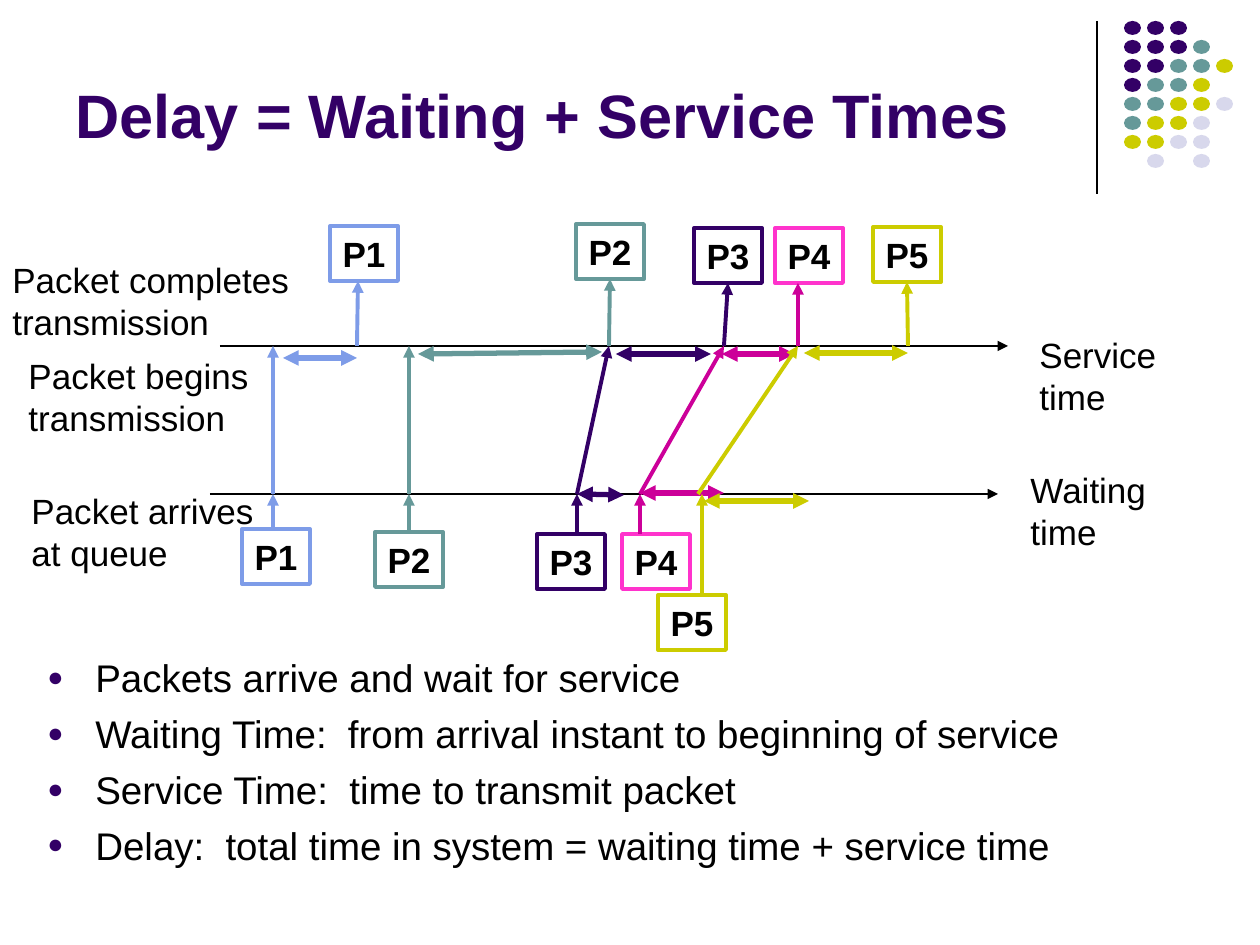
from dataclasses import dataclass
from typing import Optional

from lxml.etree import SubElement
from pptx import Presentation
from pptx.dml.color import RGBColor
from pptx.enum.shapes import MSO_CONNECTOR, MSO_SHAPE
from pptx.enum.text import MSO_ANCHOR, MSO_AUTO_SIZE, PP_ALIGN
from pptx.oxml.ns import qn
from pptx.util import Emu, Pt

PIXELS_PER_INCH = 126
SERVICE_Y, WAITING_Y = 346, 494
BOX_WIDTH, BOX_HEIGHT = 68, 55
TOP, BOTTOM = 0, 2

Point = tuple[int, int]


@dataclass(frozen=True)
class Theme:
    font: str = "Arial"
    title_size: int = 35
    body_size: int = 22
    label_size: int = 20
    black: str = "000000"
    white: str = "FFFFFF"
    purple: str = "330066"
    teal: str = "669999"
    yellow: str = "CCCC00"
    lavender: str = "D8D8EC"
    blue: str = "7E9CE8"
    magenta: str = "CC0099"
    pink: str = "FF33CC"


THEME = Theme()


@dataclass(frozen=True)
class Packet:
    name: str
    color: str
    border: str
    arrival_box: Point
    arrival_x: int
    queue_x: int
    begin_x: int
    finish_x: int
    exit_x: int
    exit_box: Point
    service_span: tuple[Point, Point]
    waiting_span: Optional[tuple[Point, Point]] = None


@dataclass(frozen=True)
class Label:
    text: str
    left: int
    top: int
    width: int


PACKETS = (
    Packet("P1", THEME.blue, THEME.blue, (242, 529), 273, 273, 273, 357, 358,
           (330, 226), ((283, 358), (357, 358))),
    Packet("P2", THEME.teal, THEME.teal, (375, 532), 409, 409, 409, 609, 609,
           (576, 224), ((418, 354), (602, 352))),
    Packet("P3", THEME.purple, THEME.purple, (537, 534), 577, 577, 609, 724, 726,
           (694, 228), ((616, 354), (711, 354)), ((577, 494), (624, 495))),
    Packet("P4", THEME.magenta, THEME.pink, (622, 534), 640, 640, 724, 798, 798,
           (775, 228), ((722, 354), (795, 354)), ((640, 493), (724, 493))),
    Packet("P5", THEME.yellow, THEME.yellow, (658, 595), 702, 698, 798, 908, 906,
           (873, 227), ((804, 353), (908, 353)), ((704, 501), (809, 501))),
)

LABELS = (
    Label("Packet arrives\nat queue", 19, 483, 248),
    Label("Packet begins\ntransmission", 16, 348, 246),
    Label("Packet completes\ntransmission", 0, 252, 304),
    Label("Service\ntime", 1027, 327, 142),
    Label("Waiting\ntime", 1018, 462, 142),
)

BULLETS = (
    "Packets arrive and wait for service",
    "Waiting Time:  from arrival instant to beginning of service",
    "Service Time:  time to transmit packet",
    "Delay:  total time in system = waiting time + service time",
)

DOT_ROWS = ("PPP", "PPPT", "PPTTY", "PTTY", "TTYYL", "TYYL", "YYLL", " L L")
DOT_COLORS = {"P": THEME.purple, "T": THEME.teal, "Y": THEME.yellow, "L": THEME.lavender}


def px(length: int) -> Emu:
    return Emu(round(length * 914400 / PIXELS_PER_INCH))


def rgb(color: str) -> RGBColor:
    return RGBColor.from_string(color)


def format_text(frame, size: int, color: str = THEME.black, bold: bool = False) -> None:
    for para in frame.paragraphs:
        for run in para.runs:
            run.font.name = THEME.font
            run.font.size = Pt(size)
            run.font.bold = bold
            run.font.color.rgb = rgb(color)


def draw_line(page, start: Point, end: Point, color: str, weight: float, arrows=()):
    """Draw a line; arrows names its pointed ends, headEnd before tailEnd."""
    line = page.shapes.add_connector(
        MSO_CONNECTOR.STRAIGHT, *(px(value) for value in start + end))
    line.line.color.rgb = rgb(color)
    line.line.width = Pt(weight)
    outline = line.line._get_or_add_ln()
    for arrow in arrows:
        SubElement(outline, qn(f"a:{arrow}"), type="triangle")
    SubElement(line._element.spPr, qn("a:effectLst"))
    return line


def draw_arrow(page, start: Point, end: Point, color: str, weight: float = 2.25):
    return draw_line(page, start, end, color, weight, ("tailEnd",))


def draw_span(page, span: tuple[Point, Point], color: str) -> None:
    draw_line(page, *span, color, 3, ("headEnd", "tailEnd"))


def draw_box(page, name: str, border: str, corner: Point):
    box = page.shapes.add_shape(MSO_SHAPE.RECTANGLE, px(corner[0]), px(corner[1]),
                                px(BOX_WIDTH), px(BOX_HEIGHT))
    box.shadow.inherit = False
    box.fill.solid()
    box.fill.fore_color.rgb = rgb(THEME.white)
    box.line.color.rgb = rgb(border)
    box.line.width = Pt(2.25)
    frame = box.text_frame
    frame.word_wrap = False
    frame.text = name
    frame.paragraphs[0].alignment = PP_ALIGN.CENTER
    format_text(frame, THEME.label_size, bold=True)
    return box


def is_centred(x: int, corner: Point) -> bool:
    return abs(x - corner[0] - BOX_WIDTH // 2) <= 2


def draw_packet(page, packet: Packet) -> None:
    arrival = draw_box(page, packet.name, packet.border, packet.arrival_box)
    departure = draw_box(page, packet.name, packet.border, packet.exit_box)

    enter = draw_arrow(page, (packet.arrival_x, packet.arrival_box[1]),
                       (packet.arrival_x, WAITING_Y), packet.color)
    if is_centred(packet.arrival_x, packet.arrival_box):
        enter.begin_connect(arrival, TOP)

    draw_arrow(page, (packet.queue_x, WAITING_Y), (packet.begin_x, SERVICE_Y), packet.color)

    leave = draw_arrow(page, (packet.finish_x, SERVICE_Y),
                       (packet.exit_x, packet.exit_box[1] + BOX_HEIGHT), packet.color)
    if is_centred(packet.exit_x, packet.exit_box):
        leave.end_connect(departure, BOTTOM)

    draw_span(page, packet.service_span, packet.color)
    if packet.waiting_span:
        draw_span(page, packet.waiting_span, packet.color)


def draw_label(page, label: Label) -> None:
    box = page.shapes.add_textbox(px(label.left), px(label.top), px(label.width), px(97))
    frame = box.text_frame
    frame.word_wrap = False
    frame.auto_size = MSO_AUTO_SIZE.SHAPE_TO_FIT_TEXT
    frame.text = label.text
    format_text(frame, THEME.label_size)


def draw_dots(page) -> None:
    for row, pattern in enumerate(DOT_ROWS):
        for column, key in enumerate(pattern):
            if key in DOT_COLORS:
                dot = page.shapes.add_shape(MSO_SHAPE.OVAL, px(1124 + 23 * column),
                                            px(21 + 19 * row), px(17), px(14))
                dot.shadow.inherit = False
                dot.fill.solid()
                dot.fill.fore_color.rgb = rgb(DOT_COLORS[key])
                dot.line.fill.background()


def set_title(page) -> None:
    title = page.shapes.title
    title.left, title.top, title.width, title.height = px(63), px(16), px(1040), px(141)
    frame = title.text_frame
    frame.text = "Delay = Waiting + Service Times"
    frame.auto_size = MSO_AUTO_SIZE.NONE
    frame.vertical_anchor = MSO_ANCHOR.BOTTOM
    frame.paragraphs[0].alignment = PP_ALIGN.LEFT
    format_text(frame, THEME.title_size, THEME.purple, bold=True)


def draw_bullets(page) -> None:
    box = page.shapes.add_textbox(px(35), px(648), px(1134), px(255))
    frame = box.text_frame
    frame.word_wrap = True
    frame.text = "\n".join(BULLETS)
    for index, para in enumerate(frame.paragraphs):
        if index:
            para.space_before = Pt(5.5)
        properties = para._p.get_or_add_pPr()
        properties.set("marL", str(px(48)))
        properties.set("indent", str(px(-48)))
        color = SubElement(properties, qn("a:buClr"))
        SubElement(color, qn("a:srgbClr"), val=THEME.purple)
        SubElement(properties, qn("a:buSzPct"), val="70000")
        SubElement(properties, qn("a:buFont"), typeface=THEME.font)
        SubElement(properties, qn("a:buChar"), char="●")
    format_text(frame, THEME.body_size)


def main() -> None:
    deck = Presentation()
    deck.slide_width, deck.slide_height = px(1260), px(945)
    page = deck.slides.add_slide(deck.slide_layouts[5])
    draw_line(page, (1097, 21), (1097, 194), THEME.black, 0.75)
    draw_dots(page)
    set_title(page)
    draw_bullets(page)
    draw_arrow(page, (210, WAITING_Y), (998, WAITING_Y), THEME.black, 1)
    draw_arrow(page, (220, SERVICE_Y), (1008, SERVICE_Y), THEME.black, 1)
    for packet in PACKETS:
        draw_packet(page, packet)
    for label in LABELS:
        draw_label(page, label)
    deck.save("out.pptx")


if __name__ == "__main__":
    main()
